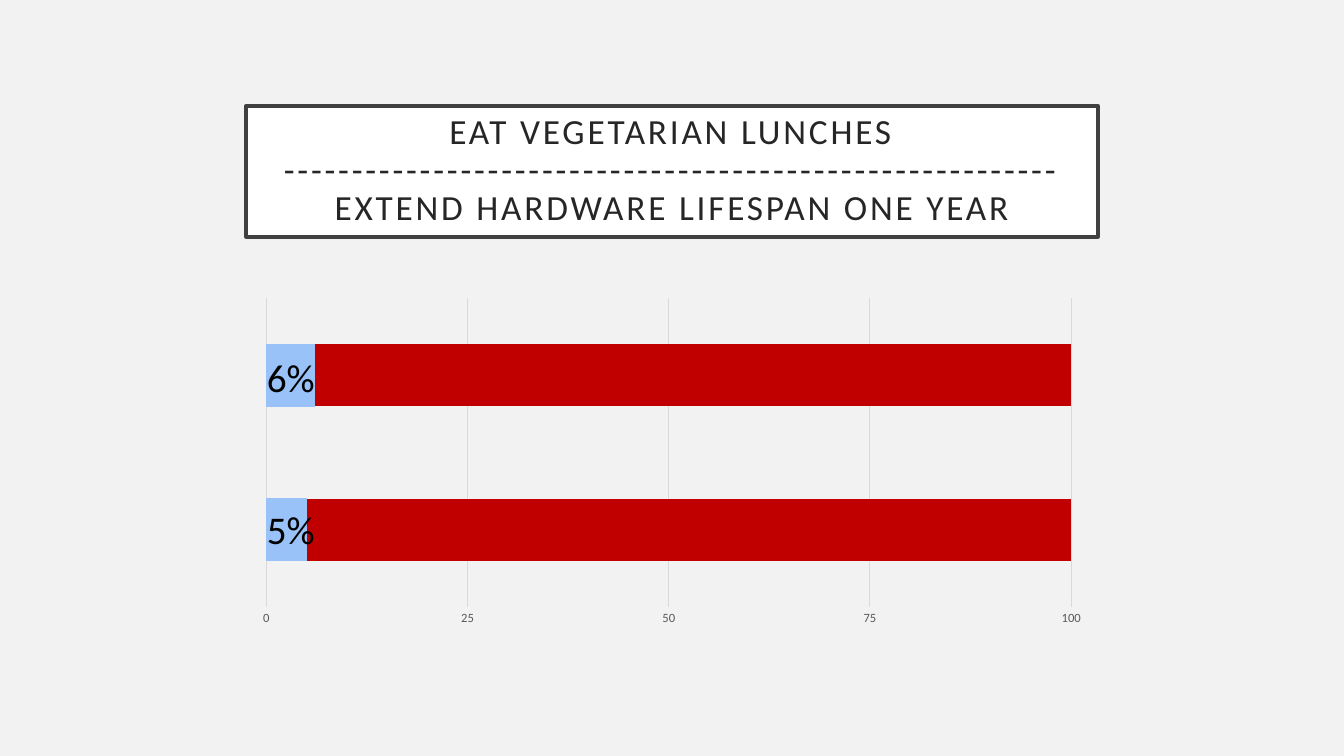
from lxml import etree
from pptx import Presentation
from pptx.chart.data import CategoryChartData
from pptx.dml.color import RGBColor
from pptx.enum.chart import XL_CHART_TYPE, XL_TICK_MARK
from pptx.enum.shapes import MSO_SHAPE
from pptx.enum.text import MSO_ANCHOR, MSO_AUTO_SIZE, PP_ALIGN
from pptx.util import Pt

BAR_STACKED = XL_CHART_TYPE.BAR_STACKED
NO_TICKS = XL_TICK_MARK.NONE
RECTANGLE = MSO_SHAPE.RECTANGLE
MIDDLE = MSO_ANCHOR.MIDDLE
CENTER = PP_ALIGN.CENTER
GROW = MSO_AUTO_SIZE.SHAPE_TO_FIT_TEXT

BACKGROUND = RGBColor(0xF2, 0xF2, 0xF2)
WHITE = RGBColor(0xFF, 0xFF, 0xFF)
BLACK = RGBColor(0, 0, 0)
FRAME = RGBColor(0x40, 0x40, 0x40)
TITLE_INK = RGBColor(0x26, 0x26, 0x26)
AXIS_INK = RGBColor(0x59, 0x59, 0x59)
GRID = RGBColor(0xD9, 0xD9, 0xD9)
BLUE = RGBColor(0x99, 0xC2, 0xF9)
RED = RGBColor(0xC0, 0, 0)
FONT = "Calibri"

TITLE_LINES = ["EAT VEGETARIAN LUNCHES", "-" * 57, "EXTEND HARDWARE LIFESPAN ONE YEAR"]
CATEGORIES = ["1", "2"]
SERIES = [("Series 1", [5, 6], BLUE), ("Series 2", [95, 94], RED)]
BAR_LABELS = ["6%", "5%"]

LEFT, WIDTH = 175.8, 608.4
TITLE_TOP, TITLE_HEIGHT, TITLE_INSET = 75.6, 93.6, 14.4
CHART_TOP, CHART_HEIGHT = 208, 244
LABEL_LEFT, LABEL_TOP, LABEL_STEP = 183.6, 249.1, 108
LABEL_WIDTH, LABEL_HEIGHT = 64, 41


def style(font, size, color):
    font.name = FONT
    font.size = Pt(size)
    font.color.rgb = color


def add_chart(page):
    data = CategoryChartData()
    data.categories = CATEGORIES
    for name, values, _ in SERIES:
        data.add_series(name, values)
    chart = page.shapes.add_chart(
        BAR_STACKED, Pt(LEFT), Pt(CHART_TOP), Pt(WIDTH), Pt(CHART_HEIGHT), data
    ).chart
    style(chart.font, 10, BLACK)
    chart.has_title = False
    chart.has_legend = False

    plot = chart.plots[0]
    plot.gap_width = 150
    plot.overlap = 100
    plot.vary_by_categories = False
    for series, (_, _, color) in zip(plot.series, SERIES):
        series.format.fill.solid()
        series.format.fill.fore_color.rgb = color
    blue_line = plot.series[0].format.line
    blue_line.color.rgb = BLUE
    blue_line.width = Pt(0.75)

    chart.category_axis.visible = False
    axis = chart.value_axis
    axis.minimum_scale, axis.maximum_scale, axis.major_unit = 0, 100, 25
    axis.major_tick_mark = axis.minor_tick_mark = NO_TICKS
    axis.format.line.fill.background()
    axis.major_gridlines.format.line.color.rgb = GRID
    axis.major_gridlines.format.line.width = Pt(0.75)
    style(axis.tick_labels.font, 9, AXIS_INK)


def add_title(page):
    box = page.shapes.add_shape(
        RECTANGLE, Pt(LEFT), Pt(TITLE_TOP), Pt(WIDTH), Pt(TITLE_HEIGHT)
    )
    box.shadow.inherit = False
    box.fill.solid()
    box.fill.fore_color.rgb = WHITE
    box.line.color.rgb = FRAME
    box.line.width = Pt(2.5)
    frame = box.text_frame
    frame.word_wrap = True
    frame.vertical_anchor = MIDDLE
    frame.margin_left = frame.margin_right = Pt(TITLE_INSET)
    frame.margin_top = frame.margin_bottom = Pt(TITLE_INSET)
    para = frame.paragraphs[0]
    para.alignment = CENTER
    para.line_spacing = 0.9
    for index, line in enumerate(TITLE_LINES):
        if index:
            para.add_line_break()
        span = para.add_run()
        span.text = line
        style(span.font, 25.2, TITLE_INK)
        span.font._element.set("spc", "200")


def add_bar_labels(page):
    for index, label in enumerate(BAR_LABELS):
        box = page.shapes.add_textbox(
            Pt(LABEL_LEFT), Pt(LABEL_TOP + index * LABEL_STEP), Pt(LABEL_WIDTH), Pt(LABEL_HEIGHT)
        )
        box.text_frame.word_wrap = True
        box.text_frame.auto_size = GROW
        span = box.text_frame.paragraphs[0].add_run()
        span.text = label
        style(span.font, 28, BLACK)


def main():
    deck = Presentation()
    deck.slide_width, deck.slide_height = Pt(960), Pt(540)
    page = deck.slides.add_slide(deck.slide_layouts[6])
    page.background.fill.solid()
    page.background.fill.fore_color.rgb = BACKGROUND
    add_chart(page)
    add_title(page)
    add_bar_labels(page)
    deck.save("out.pptx")


if __name__ == "__main__":
    main()
